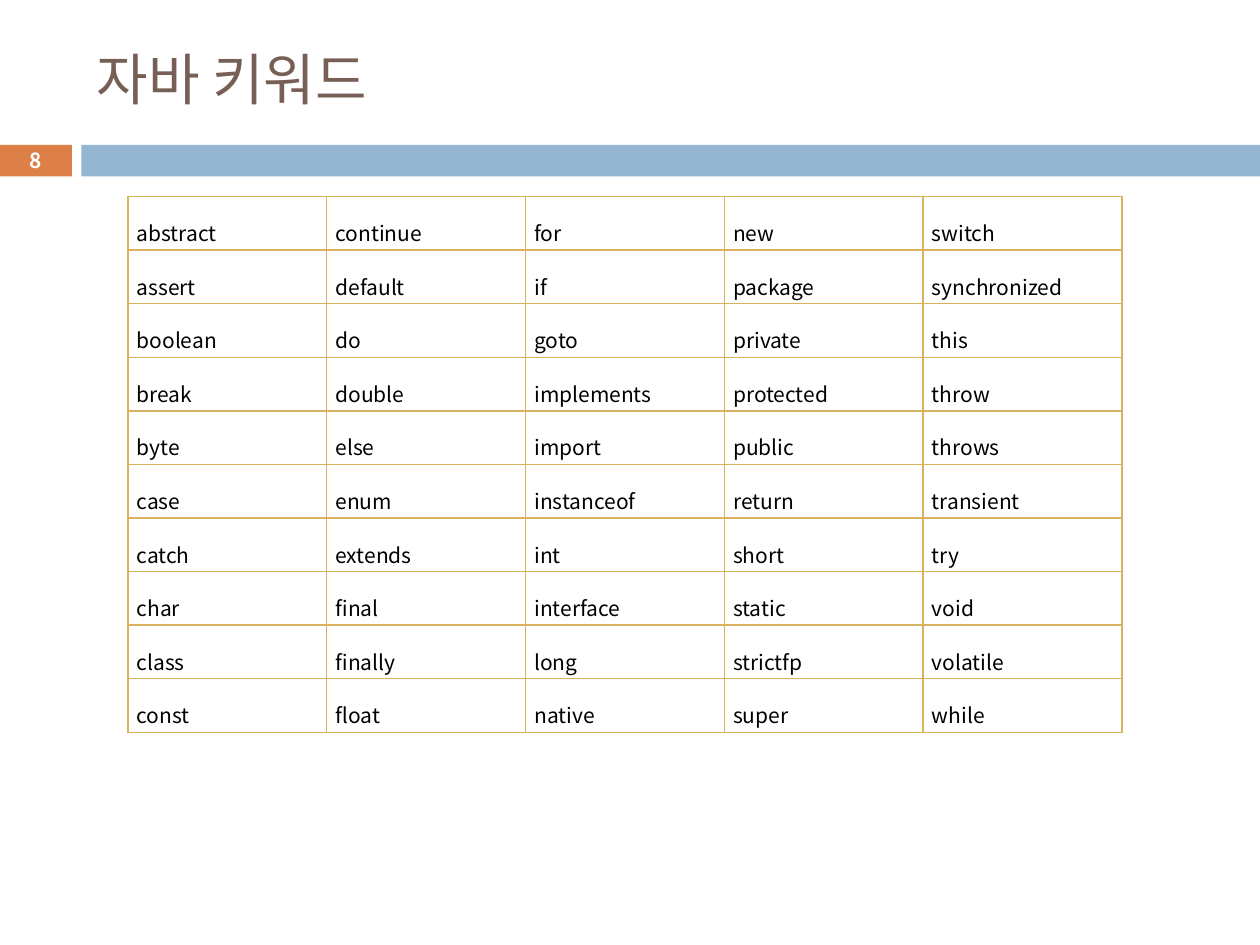
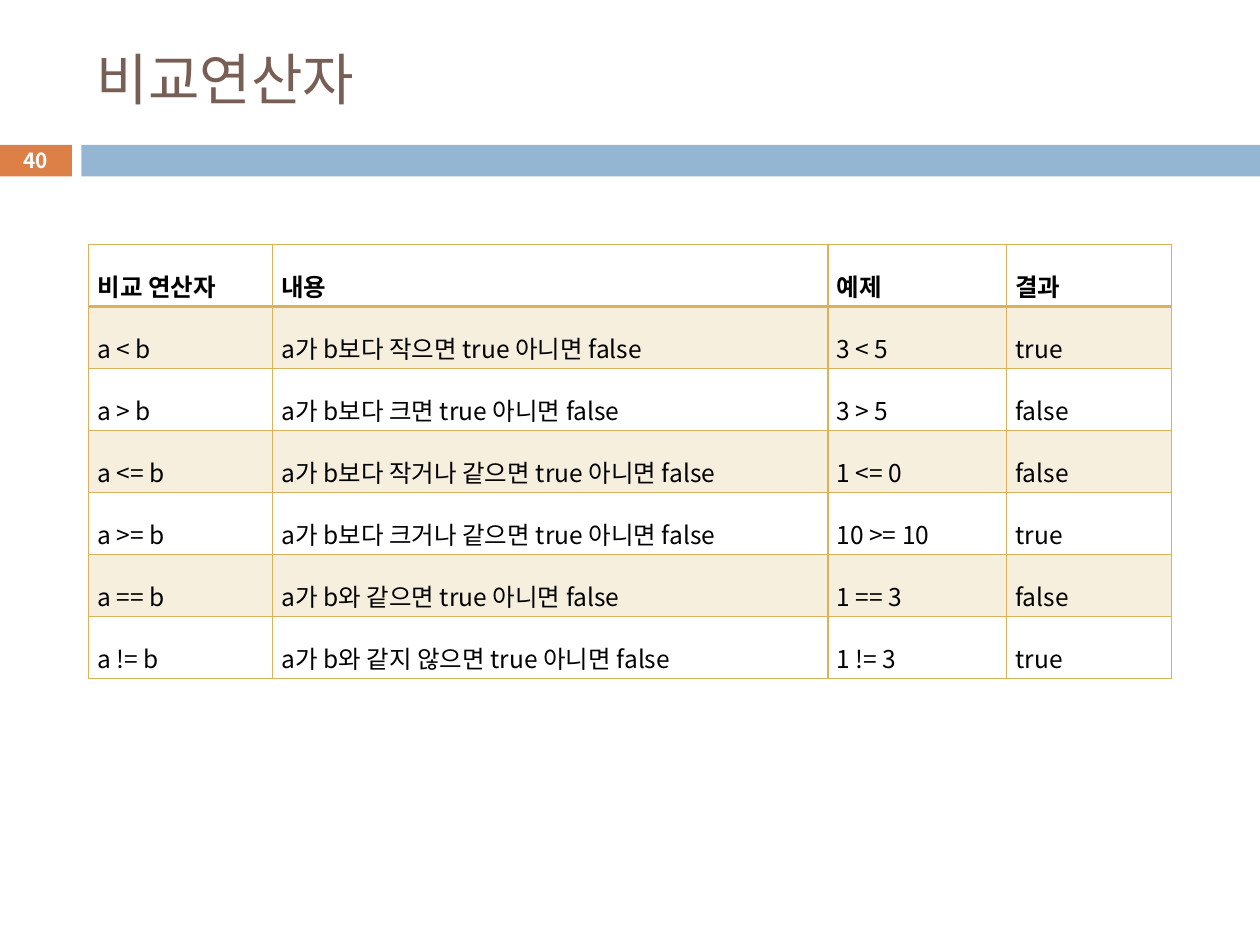
from lxml import etree
from pptx import Presentation
from pptx import util as u
from pptx.dml.color import RGBColor
from pptx.enum import shapes, text
from pptx.oxml.ns import qn

FONT = "Noto Sans CJK KR"
COLORS = {"title": "775F55", "number": "DD8047", "band": "94B6D2",
          "gold": "D8B25C", "white": "FFFFFF", "black": "000000"}
COLS, ROWS = 100, 75  # slide grid; boxes are (left, top, width, height) in its units

TITLE_BOX = (6.7, 2.5, 89.2, 7.4)
NUMBER_BAND = (-0.1, 11.5, 5.8, 2.5)
NUMBER_BOX = (-0.1, 11.37, 5.8, 2.7)
WIDE_BAND = (6.46, 11.5, 93.54, 2.5)

KEYWORDS = [row.split() for row in (
    "abstract continue for new switch",
    "assert default if package synchronized",
    "boolean do goto private this",
    "break double implements protected throw",
    "byte else import public throws",
    "case enum instanceof return transient",
    "catch extends int short try",
    "char final interface static void",
    "class finally long strictfp volatile",
    "const float native super while")]

COMPARISON_HEADER = ["비교 연산자", "내용", "예제", "결과"]
COMPARISONS = [  # operator, condition, example, result
    ("<", "보다 작으면", "3 < 5", "true"),
    (">", "보다 크면", "3 > 5", "false"),
    ("<=", "보다 작거나 같으면", "1 <= 0", "false"),
    (">=", "보다 크거나 같으면", "10 >= 10", "true"),
    ("==", "와 같으면", "1 == 3", "false"),
    ("!=", "와 같지 않으면", "1 != 3", "true")]

prs = Presentation()
prs.slide_width, prs.slide_height = u.Inches(10), u.Inches(7.5)


def place(box):
    """Turn a box in grid units into slide lengths."""
    left, top, width, height = box
    col, row = prs.slide_width / COLS, prs.slide_height / ROWS
    return [u.Emu(round(v)) for v in (left * col, top * row, width * col, height * row)]


def rgb(name):
    """Look up a named colour."""
    return RGBColor.from_string(COLORS[name])


def write(tf, words, size, color="black", bold=False, align=None, spacing=None):
    """Write one formatted line into a text frame."""
    p = tf.paragraphs[0]
    p.alignment, p.line_spacing = align, spacing
    r = p.add_run()
    r.text = words
    r.font.size, r.font.bold, r.font.name = u.Pt(size), bold, FONT
    r.font.color.rgb = rgb(color)
    etree.SubElement(r.font._element, qn("a:ea"), typeface=FONT)


def add_band(s, box, color):
    """Add a plain filled rectangle."""
    sp = s.shapes.add_shape(shapes.MSO_SHAPE.RECTANGLE, *place(box))
    sp.shadow.inherit = False
    sp.fill.solid()
    sp.fill.fore_color.rgb = rgb(color)
    sp.line.fill.background()


def add_text(s, box, words, inset=0.0, **style):
    """Add a vertically centred text box."""
    tf = s.shapes.add_textbox(*place(box)).text_frame
    tf.word_wrap = True
    tf.vertical_anchor = text.MSO_ANCHOR.MIDDLE
    tf.margin_left = tf.margin_right = u.Inches(inset)
    tf.margin_top = tf.margin_bottom = u.Inches(inset / 2)
    write(tf, words, **style)


def add_border(cell, side, width):
    """Draw one gold cell border; side is L, R, T or B."""
    ln = etree.SubElement(cell._tc.get_or_add_tcPr(), qn(f"a:ln{side}"), w=str(u.Pt(width)))
    fill = etree.SubElement(ln, qn("a:solidFill"))
    etree.SubElement(fill, qn("a:srgbClr"), val=COLORS["gold"])


def fill_cell(cell, tinted):
    """Tint a cell with translucent gold, or leave it clear."""
    if not tinted:
        cell.fill.background()
        return
    cell.fill.solid()
    cell.fill.fore_color.rgb = rgb("gold")
    color = cell._tc.tcPr.find(f"{qn('a:solidFill')}/{qn('a:srgbClr')}")
    etree.SubElement(color, qn("a:alpha"), val="20000")


def add_grid(s, box, rows, shares, size, header=False):
    """Add a ruled table; a header brings bold text, a thick rule and tinted rows."""
    left, top, width, height = place(box)
    table = s.shapes.add_table(len(rows), len(shares), left, top, width, height).table
    table.first_row = table.horz_banding = False
    for column, share in zip(table.columns, shares):
        column.width = round(width * share / sum(shares))
    for i, row in enumerate(rows):
        for j, words in enumerate(row):
            cell = table.cell(i, j)
            cell.margin_left = cell.margin_right = u.Inches(0.07)
            cell.margin_top = cell.margin_bottom = u.Inches(0.02)
            cell.vertical_anchor = text.MSO_ANCHOR.MIDDLE
            write(cell.text_frame, words, size, bold=header and i == 0,
                  align=text.PP_ALIGN.JUSTIFY, spacing=1.6)
            for side in "LRTB":
                thick = header and (i, side) in ((0, "B"), (1, "T"))
                add_border(cell, side, 2 if thick else 1)
            fill_cell(cell, header and i % 2 == 1)


def add_slide(title, number):
    """Start a slide with its bands, title and number."""
    s = prs.slides.add_slide(prs.slide_layouts[6])
    add_band(s, NUMBER_BAND, "number")
    add_band(s, WIDE_BAND, "band")
    add_text(s, TITLE_BOX, title, inset=0.1, size=32, color="title")
    add_text(s, NUMBER_BOX, str(number), size=11.9, color="white", bold=True,
             align=text.PP_ALIGN.CENTER)
    return s


def keyword_slide():
    """Build the slide that lists the keywords."""
    s = add_slide("자바 키워드", 8)
    add_grid(s, (10.15, 15.6, 78.9, 42.55), KEYWORDS, [1] * 5, size=12)


def comparison_slide():
    """Build the slide that explains the comparison operators."""
    s = add_slide("비교연산자", 40)
    rows = [COMPARISON_HEADER] + [
        (f"a {op} b", f"a가 b{condition} true 아니면 false", example, result)
        for op, condition, example, result in COMPARISONS]
    add_grid(s, (7.04, 19.4, 85.95, 34.45), rows, [1.46, 4.41, 1.42, 1.31], size=14, header=True)


keyword_slide()
comparison_slide()
prs.save("out.pptx")
